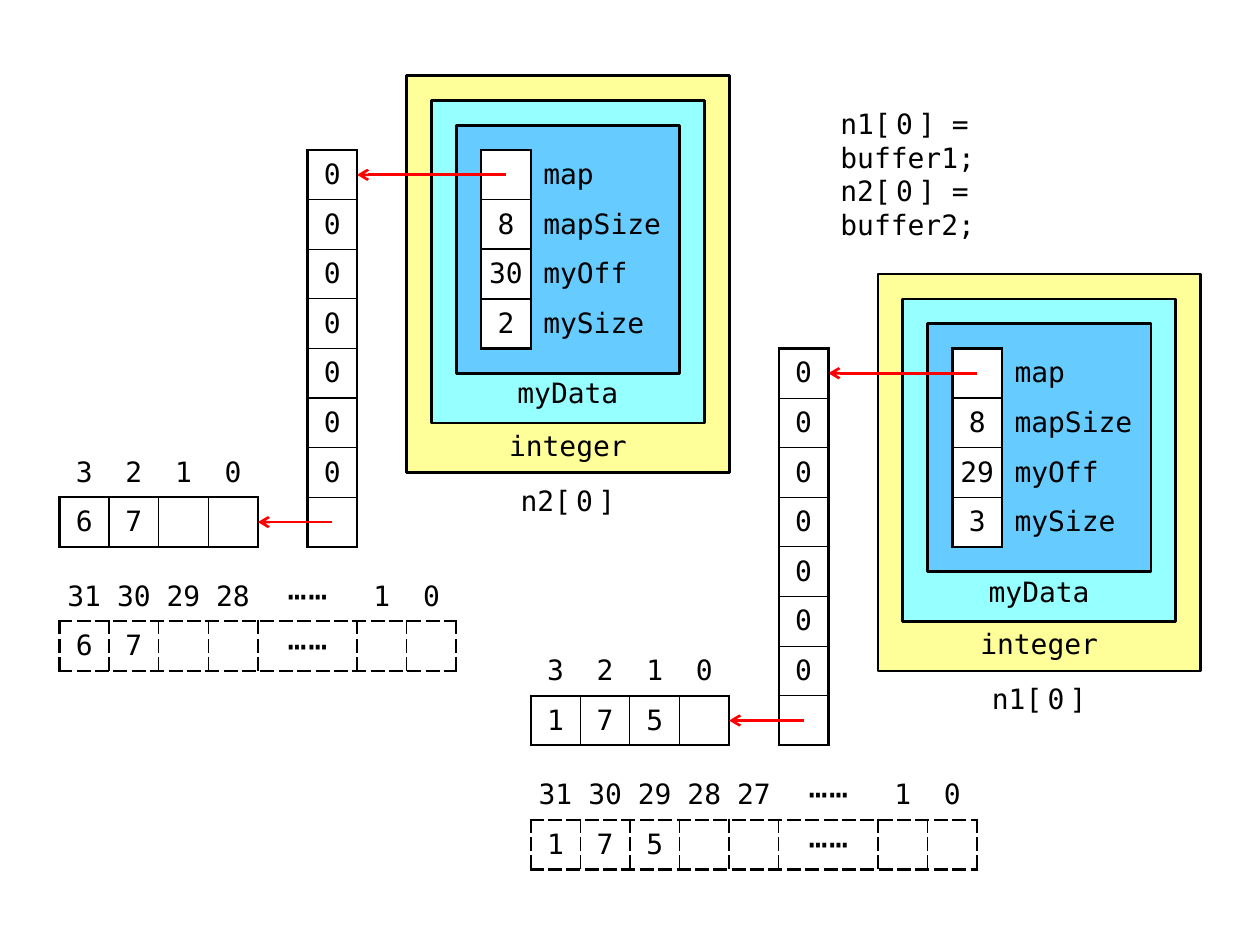
from lxml import etree
from pptx import Presentation
from pptx.dml.color import RGBColor
from pptx.enum.shapes import MSO_CONNECTOR, MSO_SHAPE
from pptx.enum.text import MSO_ANCHOR, PP_ALIGN
from pptx.oxml.ns import qn
from pptx.util import Pt

BOX = MSO_SHAPE.FLOWCHART_PROCESS
STRAIGHT = MSO_CONNECTOR.STRAIGHT
LEFT, CENTER = PP_ALIGN.LEFT, PP_ALIGN.CENTER
TOP, MIDDLE, BOTTOM = MSO_ANCHOR.TOP, MSO_ANCHOR.MIDDLE, MSO_ANCHOR.BOTTOM

COLORS = {"ink": "000000", "cell": "FFFFFF", "arrow": "FF0000",
          "integer": "FFFF99", "myData": "96FFFF", "fields": "66CCFF"}
PLAIN_TABLE = "{2D5ABB26-0587-4C30-8999-92F81FD0307C}"
CELL = 28.35
ELLIPSIS = [("⋯", 1), ("⋯", 0)]


def rgb(name):
    return RGBColor.from_string(COLORS[name])


def element(name):
    """Return the first element of an array as runs of (text, letter spacing)."""
    return [(name, 0), ("[0", 3), ("]", 0)]


class Diagram:
    """Draws on one slide; positions are in points."""
    font_name = "DejaVu Sans Mono"
    size = 16
    weight = 1.5

    def __init__(self, slide):
        self.slide = slide

    def fill_paragraph(self, paragraph, runs, align, size=None):
        """Fill a paragraph with a string or with (text, letter spacing) runs."""
        paragraph.alignment = align
        font = paragraph.font
        font.name, font.size = self.font_name, Pt(size or self.size)
        font.color.rgb = rgb("ink")
        for text, spacing in [(runs, 0)] if isinstance(runs, str) else runs:
            if text:
                run = paragraph.add_run()
                run.text = text
                if spacing:
                    run._r.get_or_add_rPr().set("spc", str(spacing * 100))

    def box(self, left, top, width, height, color):
        shape = self.slide.shapes.add_shape(
            BOX, Pt(left), Pt(top), Pt(width), Pt(height))
        shape.shadow.inherit = False
        shape.fill.solid()
        shape.fill.fore_color.rgb = rgb(color)
        shape.line.color.rgb = rgb("ink")
        shape.line.width = Pt(self.weight)

    def text(self, left, top, width, height, lines, align=CENTER, anchor=TOP,
             margins=(5.8, 3, 5.8, 3)):
        frame = self.slide.shapes.add_textbox(
            Pt(left), Pt(top), Pt(width), Pt(height)).text_frame
        frame.word_wrap = True
        frame.vertical_anchor = anchor
        (frame.margin_left, frame.margin_top,
         frame.margin_right, frame.margin_bottom) = map(Pt, margins)
        for index, line in enumerate(lines):
            paragraph = frame.add_paragraph() if index else frame.paragraphs[0]
            self.fill_paragraph(paragraph, line, align)

    def arrow(self, start, end, y):
        line = self.slide.shapes.add_connector(
            STRAIGHT, Pt(start), Pt(y), Pt(end), Pt(y))
        line.line.color.rgb = rgb("arrow")
        line.line.width = Pt(self.weight)
        etree.SubElement(line.line._get_or_add_ln(), qn("a:tailEnd"), type="arrow")
        etree.SubElement(line._element.spPr, qn("a:effectLst"))

    def border(self, cell, weights, dash):
        """Give a cell its left, right, top and bottom lines."""
        properties = cell._tc.get_or_add_tcPr()
        for index, (side, weight) in enumerate(zip("LRTB", weights)):
            line = etree.Element(qn(f"a:ln{side}"), w=str(Pt(weight)))
            fill = etree.SubElement(line, qn("a:solidFill"))
            etree.SubElement(fill, qn("a:srgbClr"), val=COLORS["ink"])
            etree.SubElement(line, qn("a:prstDash"), val=dash)
            properties.insert(index, line)

    def grid(self, left, top, rows, widths, first_row=0, last_col=None,
             inner=0.75, dash="solid", label_align=CENTER):
        """Draw a table with lines from first_row down and up to last_col.

        Cells outside that block are labels."""
        last_row = len(rows) - 1
        last_col = len(widths) - 1 if last_col is None else last_col
        table = self.slide.shapes.add_table(
            len(rows), len(widths), Pt(left), Pt(top),
            Pt(sum(widths) * CELL), Pt(len(rows) * CELL)).table
        table.first_row = table.horz_banding = False
        table._tbl.tblPr.find(qn("a:tableStyleId")).text = PLAIN_TABLE
        for column, width in zip(table.columns, widths):
            column.width = Pt(width * CELL)
        for r, row in enumerate(rows):
            table.rows[r].height = Pt(CELL)
            for c, content in enumerate(row):
                cell = table.cell(r, c)
                boxed = r >= first_row and c <= last_col
                align = CENTER if boxed else label_align
                cell.margin_left = cell.margin_right = Pt(0 if align == CENTER else 7.2)
                cell.margin_top = cell.margin_bottom = Pt(2.8)
                cell.vertical_anchor = MIDDLE
                self.fill_paragraph(cell.text_frame.paragraphs[0], content, align,
                                    18 if content is ELLIPSIS else None)
                if boxed:
                    cell.fill.solid()
                    cell.fill.fore_color.rgb = rgb("cell")
                    edges = (c == 0, c == last_col, r == first_row, r == last_row)
                    self.border(cell, [self.weight if edge else inner
                                       for edge in edges], dash)
                else:
                    cell.fill.background()

    def big_integer(self, left, top, name, offset, digits, high_bits):
        """Draw an integer object with its map, its last block and its bits."""
        def x(cells):
            return left + cells * CELL

        def y(cells):
            return top + cells * CELL

        for step, (color, width, height) in enumerate(
                [("integer", 6.5, 8), ("myData", 5.5, 6.5), ("fields", 4.5, 5)]):
            self.box(x(step / 2), y(step / 2), width * CELL, height * CELL, color)
        self.text(x(1.5), y(7), 3.5 * CELL, CELL, ["integer"])
        self.text(x(2), y(8), 2.5 * CELL, CELL, [element(name)], anchor=BOTTOM)
        self.text(x(2), y(6), 2.5 * CELL, CELL, ["myData"], margins=(5.8, 1.4, 5.8, 0))

        fields = [("", "map"), ("8", "mapSize"), (offset, "myOff"),
                  (str(len(digits)), "mySize")]
        self.grid(x(1.5), y(1.5), fields, [1, 3], last_col=0, inner=1,
                  label_align=LEFT)
        self.arrow(x(2), x(-1), y(2))
        self.grid(x(-2), y(1.5), [["0"]] * 7 + [[""]], [1])

        block = list(digits) + [""] * (4 - len(digits))
        self.grid(x(-7), y(7.5), [list("3210"), block], [1] * 4, first_row=1)
        self.arrow(x(-1.5), x(-3), y(9))

        count = len(high_bits)
        bits = list(digits) + [""] * (count - len(digits)) + [ELLIPSIS, "", ""]
        self.grid(x(-7), y(10), [high_bits + [ELLIPSIS, "1", "0"], bits],
                  [1] * count + [2, 1, 1], first_row=1, inner=1, dash="sysDash")


def main():
    deck = Presentation()
    deck.slide_width, deck.slide_height = Pt(720), Pt(540)
    diagram = Diagram(deck.slides.add_slide(deck.slide_layouts[6]))

    assignments = [element(f"n{i}")[:2] + [(f"] = buffer{i};", 0)] for i in (1, 2)]
    diagram.text(473.2, 57.5, 170, 57, assignments, align=LEFT,
                 margins=(7.2, 3.6, 7.2, 3.6))
    diagram.big_integer(501.7, 156.6, "n1", "29", "175", ["31", "30", "29", "28", "27"])
    diagram.big_integer(232.4, 43.2, "n2", "30", "67", ["31", "30", "29", "28"])
    deck.save("out.pptx")


if __name__ == "__main__":
    main()
